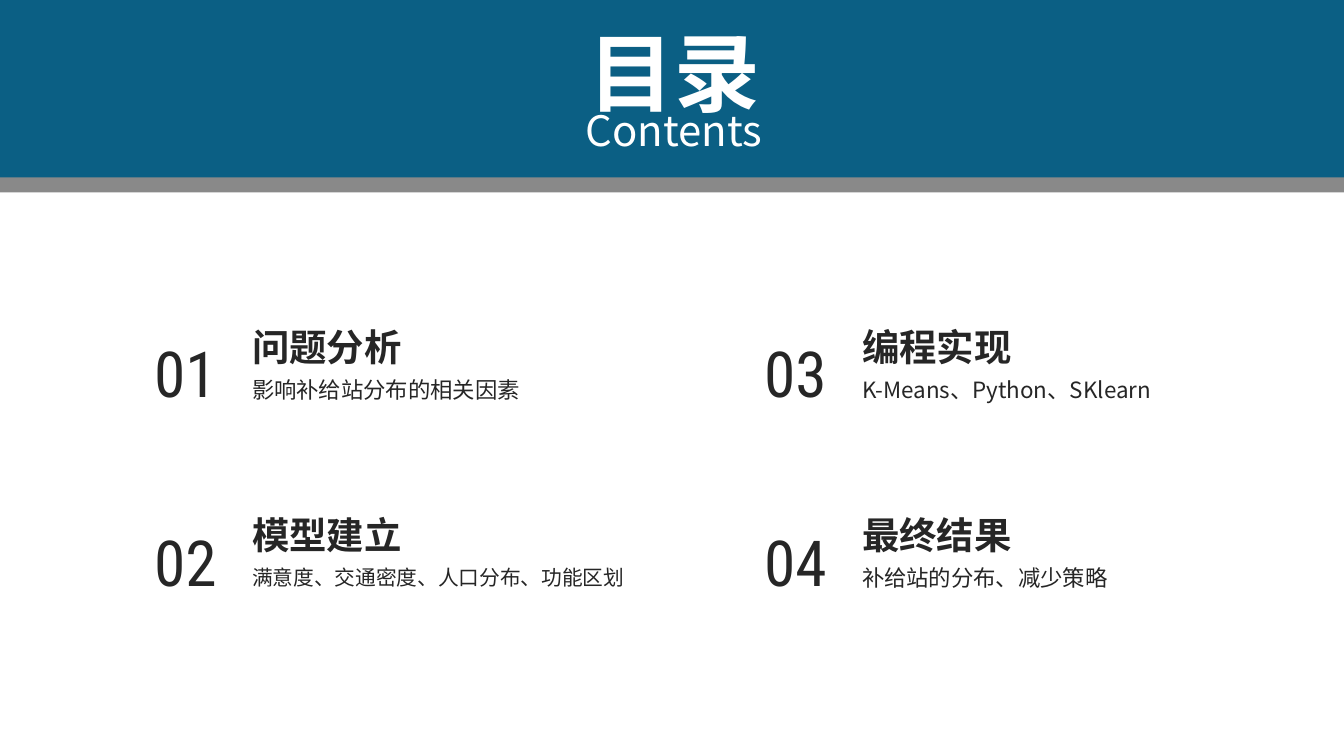
"""Build the contents slide: a banner over a two-by-two grid of numbered topics."""
from lxml import etree
from pptx import Presentation
from pptx.dml.color import RGBColor
from pptx.enum import shapes, text
from pptx.oxml import ns
from pptx.util import Inches, Pt

TITLE, SUBTITLE = "目录", "Contents"
TOPICS = [
    ("01", "问题分析", "影响补给站分布的相关因素", 16),
    ("02", "模型建立", "满意度、交通密度、人口分布、功能区划", 14.8),
    ("03", "编程实现", "K-Means、Python、SKlearn", 16),
    ("04", "最终结果", "补给站的分布、减少策略", 16),
]

BLUE = RGBColor(0x0B, 0x5F, 0x84)
GREY = RGBColor(0x59, 0x59, 0x59)
INK = RGBColor(0x26, 0x26, 0x26)
WHITE = RGBColor(0xFF, 0xFF, 0xFF)
SANS, CONDENSED = "Noto Sans CJK SC", "Roboto Condensed"
LEFT, TOP = 1.98, 3.31
COLUMN_STEP, ROW_STEP = 6.05, 1.87
ROWS = 2
INDENT = (0.52, 0, 0, 0)
DEFAULT_INSETS = (0.1, 0.05, 0.1, 0.05)


def place(sp, *box):
    sp.left, sp.top, sp.width, sp.height = map(Inches, box)


def add_band(s, top, color, opacity=100):
    sp = s.shapes.add_shape(shapes.MSO_SHAPE.RECTANGLE, 0, 0, 0, 0)
    place(sp, -0.01, top, 13.36, 1.76)
    sp.shadow.inherit = False
    sp.fill.solid()
    sp.fill.fore_color.rgb = color
    sp.line.fill.background()
    if opacity < 100:
        clr = sp.fill._xPr.find(".//" + ns.qn("a:srgbClr"))
        etree.SubElement(clr, ns.qn("a:alpha"), val=str(opacity * 1000))


def write(sp, words, size, color=INK, font=SANS, bold=False, centred=False,
          anchor="MIDDLE", insets=DEFAULT_INSETS, wrap=True, spacing=None):
    tf = sp.text_frame
    tf.auto_size = text.MSO_AUTO_SIZE.NONE
    tf.word_wrap = wrap
    tf.vertical_anchor = text.MSO_ANCHOR[anchor]
    tf.margin_left, tf.margin_top, tf.margin_right, tf.margin_bottom = map(Inches, insets)
    p = tf.paragraphs[0]
    p.alignment = text.PP_ALIGN.CENTER if centred else text.PP_ALIGN.LEFT
    if spacing:
        p.line_spacing = spacing
    r = p.add_run()
    r.text = words
    r.font.size, r.font.bold, r.font.name = Pt(size), bold, font
    r.font.color.rgb = color
    ea = etree.Element(ns.qn("a:ea"), typeface=font)
    r.font._element.find(ns.qn("a:latin")).addnext(ea)


def add_text(s, box, words, size, **style):
    sp = s.shapes.add_textbox(*map(Inches, box))
    write(sp, words, size, **style)


def add_topic(s, index, number, heading, detail, detail_size):
    column, row = divmod(index, ROWS)
    x, y = LEFT + column * COLUMN_STEP, TOP + row * ROW_STEP
    add_text(s, (x - 0.54, y, 0.8, 0.77), number, 45.3,
             font=CONDENSED, centred=True, wrap=False)
    add_text(s, (x, y + 0.08, 4.33, 0.27), heading, 26.7,
             bold=True, anchor="BOTTOM", insets=INDENT, wrap=False)
    add_text(s, (x, y + 0.35, 4.33, 0.35), detail, detail_size,
             insets=INDENT, spacing=1.2)


def main():
    prs = Presentation()
    prs.slide_width, prs.slide_height = Inches(13.33), Inches(7.5)
    s = prs.slides.add_slide(prs.slide_layouts[5])
    add_band(s, 0.15, GREY, 71)
    for index, topic in enumerate(TOPICS):
        add_topic(s, index, *topic)
    add_band(s, 0, BLUE)
    add_text(s, (5.7, 0.98, 1.97, 0.56), SUBTITLE, 29.9, color=WHITE,
             centred=True, anchor="BOTTOM", insets=(0, 0, 0, 0))
    title = s.shapes.title
    place(title, 5.7, 0.15, 1.97, 1.01)
    write(title, TITLE, 61.2, color=WHITE, bold=True, centred=True, anchor="TOP")
    title._element.getparent().append(title._element)
    prs.save("out.pptx")


if __name__ == "__main__":
    main()
